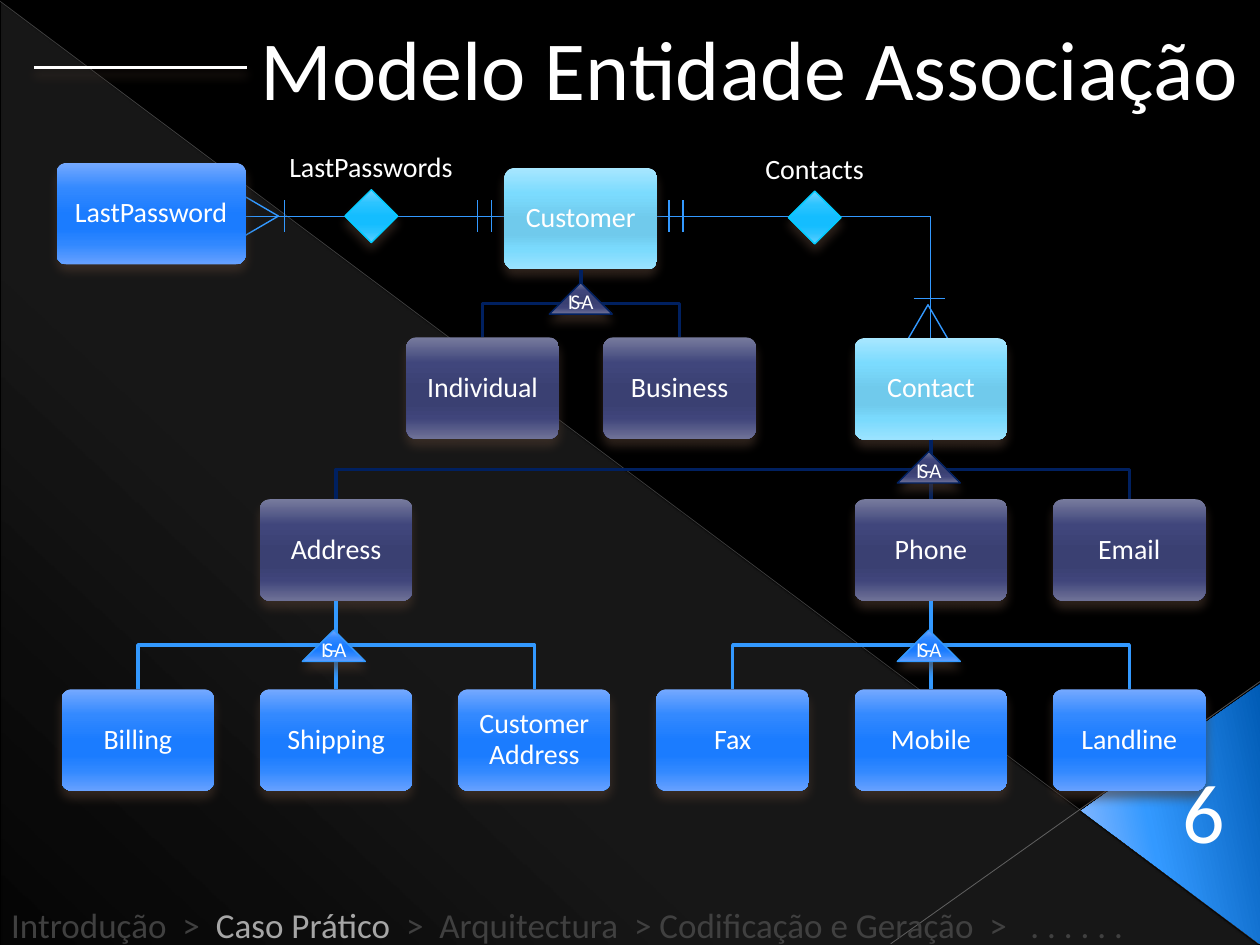
"""Build the entity-association model slide."""
import lxml.etree
import pptx
import pptx.dml.color
import pptx.enum.shapes
import pptx.enum.text
import pptx.oxml
import pptx.oxml.ns
import pptx.util

Pt = pptx.util.Pt
RGBColor = pptx.dml.color.RGBColor
SHAPE = pptx.enum.shapes.MSO_SHAPE
CONNECTOR = pptx.enum.shapes.MSO_CONNECTOR
ALIGN = pptx.enum.text.PP_ALIGN
ANCHOR = pptx.enum.text.MSO_ANCHOR
qn = pptx.oxml.ns.qn

BLACK = RGBColor(0x00, 0x00, 0x00)
WHITE = RGBColor(0xFF, 0xFF, 0xFF)
BLUE = RGBColor(0x33, 0x99, 0xFF)
NAVY = RGBColor(0x00, 0x20, 0x60)
CYAN = RGBColor(0x00, 0xCC, 0xFF)
DIM = RGBColor(0x40, 0x40, 0x40)
BRIGHT = RGBColor(0xA6, 0xA6, 0xA6)
SHADOW = RGBColor(0x4E, 0x3B, 0x30)
EDGE = RGBColor(0xB4, 0xB4, 0xB4)
OFFSETS = (0, 25, 50, 65, 80, 100)


def palette(*codes):
    return [(at, RGBColor.from_string(code), 100) for at, code in zip(OFFSETS, codes)]


def decorate(shape, stops=None, angle=90, line=None, width=0.79, shadow=False, alpha=100):
    properties = shape._element.spPr
    if stops:
        shape.fill.background()
        gradient = lxml.etree.Element(qn("a:gradFill"), rotWithShape="1")
        stop_list = lxml.etree.SubElement(gradient, qn("a:gsLst"))
        for at, color, opacity in stops:
            stop = lxml.etree.SubElement(stop_list, qn("a:gs"), pos=str(at * 1000))
            tint = lxml.etree.SubElement(stop, qn("a:srgbClr"), val=str(color))
            lxml.etree.SubElement(tint, qn("a:alpha"), val=str(opacity * 1000))
        lxml.etree.SubElement(gradient, qn("a:lin"), ang=str(angle * 60000), scaled="0")
        properties.replace(properties.find(qn("a:noFill")), gradient)
    elif hasattr(shape, "fill"):
        shape.fill.background()
    if line is None:
        shape.line.fill.background()
    else:
        shape.line.color.rgb = line
        shape.line.width = Pt(width)
        if alpha < 100:
            tint = properties.find(".//" + qn("a:ln") + "//" + qn("a:srgbClr"))
            lxml.etree.SubElement(tint, qn("a:alpha"), val=str(alpha * 1000))
    effects = lxml.etree.SubElement(properties, qn("a:effectLst"))
    if shadow:
        outer = lxml.etree.SubElement(effects, qn("a:outerShdw"), blurRad=str(Pt(6)),
                                      dist=str(Pt(4)), dir="5400000", rotWithShape="0")
        tint = lxml.etree.SubElement(outer, qn("a:srgbClr"), val=str(SHADOW))
        lxml.etree.SubElement(tint, qn("a:alpha"), val="60000")


def write(shape, pieces, size, align=ALIGN.CENTER, wrap=True):
    shape.text_frame.word_wrap = wrap
    para = shape.text_frame.paragraphs[0]
    para.alignment = align
    for words, color in pieces:
        span = para.add_run()
        span.text = words
        span.font.name = "Calibri"
        span.font.size = Pt(size)
        span.font.color.rgb = color
    return para


AQUA_FILL = palette("A8E7FF", "7BDBFE", "70CAEC", "70CAEC", "7ADAFD", "9BE3FF")
NAVY_FILL = palette("777B9D", "40467C", "3A4072", "3A4072", "40457B", "6F7297")
BLUE_FILL = palette("75A9FF", "3389FF", "1B7CFF", "1B7CFF", "3188FF", "67A1FF")
CYAN_FILL = palette("71D2FF", "2CC4FF", "14BDFF", "14BDFF", "2AC3FF", "63CEFF")
VEIL = [(0, WHITE, 10), (70, WHITE, 8), (100, WHITE, 1)]
CORNER = [(0, RGBColor(0x00, 0x5B, 0xB5), 100), (60, BLUE, 100),
          (100, RGBColor(0x9B, 0xBF, 0xFF), 100)]

deck = pptx.Presentation()
deck.slide_width, deck.slide_height = Pt(720), Pt(540)
page = deck.slides.add_slide(deck.slide_layouts[6])
page.background.fill.solid()
page.background.fill.fore_color.rgb = BLACK
shapes = page.shapes

veil = shapes.add_shape(SHAPE.RIGHT_TRIANGLE, Pt(0.7), Pt(1.4), Pt(718.6), Pt(538.6))
decorate(veil, VEIL, 133)
for ends, width, alpha in (((0, 0.7, 719.3, 539.3), 0.39, 35),
                           ((720, 389.5, 509, 539.3), 0.47, 45)):
    edge = shapes.add_connector(CONNECTOR.STRAIGHT, *map(Pt, ends))
    decorate(edge, line=EDGE, width=width, alpha=alpha)
corner = shapes.add_shape(SHAPE.ISOSCELES_TRIANGLE, Pt(594.7), Pt(414), Pt(149), Pt(102.2))
corner.adjustments[0] = 0.513
corner.rotation = 270
decorate(corner, CORNER, 258)

elbow = shapes.add_connector(CONNECTOR.ELBOW, Pt(349.2), Pt(123.8), Pt(531.4), Pt(203.8))
guides = elbow._element.spPr.find(".//" + qn("a:avLst"))
if guides is None:
    guides = lxml.etree.SubElement(elbow._element.spPr.find(qn("a:prstGeom")), qn("a:avLst"))
lxml.etree.SubElement(guides, qn("a:gd"), name="adj1", fmla="val 100100")
decorate(elbow, line=BLUE)

ticks = [(x, 114.5, x, 132.5) for x in (162.7, 272.9, 280.8, 382.3, 390.2)]
for ends in [(104.4, 123.8, 321.1, 123.8), (522, 170.6, 540, 170.6)] + ticks:
    stroke = shapes.add_connector(CONNECTOR.STRAIGHT, *map(Pt, ends))
    decorate(stroke, line=BLUE)
for left, top, turn in ((130.3, 110.2, 90), (514.8, 174.2, 0)):
    foot = shapes.add_shape(SHAPE.ISOSCELES_TRIANGLE, Pt(left), Pt(top), Pt(31), Pt(26.6))
    foot.rotation = turn
    decorate(foot, line=BLUE)

rule = shapes.add_connector(CONNECTOR.STRAIGHT, Pt(141.1), Pt(38.7), Pt(19.4), Pt(38.7))
decorate(rule, line=WHITE, width=2, shadow=True)

BOX_WIDTH, BOX_HEIGHT = 87.2, 58
columns = [78.8 + 113.3 * index for index in range(6)]
customer, contact = (331.9, 96), (columns[4], 193.2)
address, phone = (columns[1], 285.3), (columns[4], 285.3)
entities = [
    ("LastPassword", (86.4, 93.1), 108, BLUE_FILL, None),
    ("Customer", customer, BOX_WIDTH, AQUA_FILL, None),
    ("Individual", (275.8, 192.8), BOX_WIDTH, NAVY_FILL, customer),
    ("Business", (388.4, 192.8), BOX_WIDTH, NAVY_FILL, customer),
    ("Contact", contact, BOX_WIDTH, AQUA_FILL, None),
    ("Address", address, BOX_WIDTH, NAVY_FILL, contact),
    ("Phone", phone, BOX_WIDTH, NAVY_FILL, contact),
    ("Email", (columns[5], 285.3), BOX_WIDTH, NAVY_FILL, contact),
]
leaves = ("Billing", "Shipping", "Customer Address", "Fax", "Mobile", "Landline")
for index, name in enumerate(leaves):
    entities.append((name, (columns[index], 393.9), BOX_WIDTH, BLUE_FILL,
                     address if index < 3 else phone))

for name, (center, top), width, fill, parent in entities:
    if parent:
        start, bottom = parent[0], parent[1] + BOX_HEIGHT
        middle = (bottom + top) / 2
        if start == center:
            link = shapes.add_connector(CONNECTOR.STRAIGHT, Pt(start), Pt(bottom), Pt(center), Pt(top))
        else:
            outline = shapes.build_freeform(Pt(start), Pt(bottom), scale=1.0)
            outline.add_line_segments([(Pt(start), Pt(middle)), (Pt(center), Pt(middle)),
                                       (Pt(center), Pt(top))], close=False)
            link = outline.convert_to_shape()
        decorate(link, line=NAVY if fill is NAVY_FILL else BLUE, width=2)
    box = shapes.add_shape(SHAPE.ROUNDED_RECTANGLE, Pt(center - width / 2), Pt(top),
                           Pt(width), Pt(BOX_HEIGHT))
    box.adjustments[0] = 0.1
    decorate(box, fill, shadow=True)
    frame = box.text_frame
    frame.margin_left = frame.margin_right = frame.margin_top = frame.margin_bottom = Pt(5)
    frame.vertical_anchor = ANCHOR.MIDDLE
    write(box, [(name, WHITE)], 16).line_spacing = 0.9

for left, top, fill, line in ((313.9, 161.5, NAVY_FILL, NAVY), (172.8, 360, BLUE_FILL, BLUE),
                              (512.8, 360, BLUE_FILL, BLUE), (512.8, 258, NAVY_FILL, NAVY)):
    badge = shapes.add_shape(SHAPE.ISOSCELES_TRIANGLE, Pt(left), Pt(top), Pt(36), Pt(18))
    decorate(badge, fill, line=line, shadow=True)
    frame = badge.text_frame
    frame.margin_left = frame.margin_right = frame.margin_top = frame.margin_bottom = 0
    frame.vertical_anchor = ANCHOR.BOTTOM
    para = write(badge, [("IS-A", WHITE)], 12, wrap=False)
    para.runs[0]._r.get_or_add_rPr().set("spc", "-150")

for left, top in ((197.1, 108.4), (450.5, 109.2)):
    diamond = shapes.add_shape(SHAPE.FLOWCHART_DECISION, Pt(left), Pt(top), Pt(30.2), Pt(30.2))
    decorate(diamond, CYAN_FILL, line=CYAN, shadow=True)

trail = [("Introdução  >  ", DIM), ("Caso Prático ", BRIGHT),
         (" >  Arquitectura  > Codificação e Geração  >   . . . . . .", DIM)]
for place, pieces, size, align, wrap in (
    ((141.8, 5.8, 579.6, 65.5), [("Modelo Entidade Associação", WHITE)], 48, ALIGN.LEFT, False),
    ((151.9, 82.1, 120.2, 26.6), [("LastPasswords", WHITE)], 16, ALIGN.CENTER, True),
    ((405.4, 82.8, 120.2, 26.6), [("Contacts", WHITE)], 16, ALIGN.CENTER, True),
    ((-0.7, 512.6, 714.2, 31.7), trail, 20, ALIGN.JUSTIFY, True),
    ((668.9, 430.6, 38.9, 65.5), [("6", WHITE)], 48, ALIGN.LEFT, False),
):
    label = shapes.add_textbox(*map(Pt, place))
    write(label, pieces, size, align, wrap)

deck.save("out.pptx")
